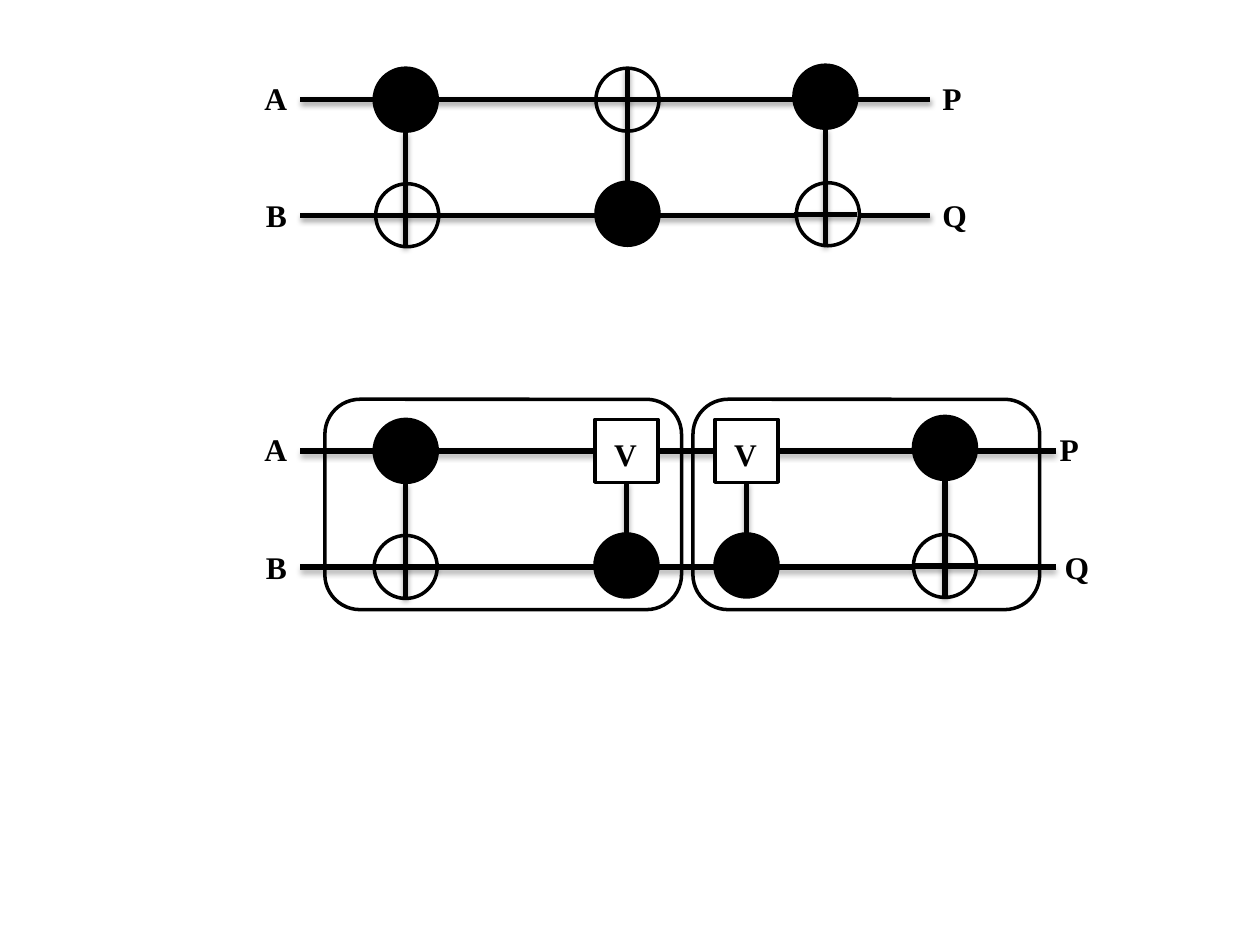
from dataclasses import dataclass

from lxml.etree import SubElement
from pptx import Presentation
from pptx.dml.color import RGBColor
from pptx.enum.shapes import MSO_CONNECTOR as CXN, MSO_SHAPE as SHAPE
from pptx.enum.text import MSO_AUTO_SIZE
from pptx.oxml.ns import qn
from pptx.util import Cm, Pt


@dataclass(frozen=True)
class Theme:
    ink: RGBColor = RGBColor(0, 0, 0)
    paper: RGBColor = RGBColor(255, 255, 255)
    font: str = "Times New Roman"
    text: Pt = Pt(18)
    wire: Pt = Pt(3)
    outline: Pt = Pt(2)


THEME = Theme()
NODE = 1.27  # side of a gate, diameter of a dot or ring (cm)
HALF = NODE / 2
LEFT = 6.05  # where the rails begin (cm)


def add_shadow(cxn):
    """Soft shadow straight below a wire."""
    effects = SubElement(cxn._element.spPr, qn("a:effectLst"))
    shadow = SubElement(effects, qn("a:outerShdw"), blurRad=str(Pt(3.1)),
                        dist=str(Pt(1.8)), dir="5400000", rotWithShape="0")
    clr = SubElement(shadow, qn("a:srgbClr"), val=str(THEME.ink))
    SubElement(clr, qn("a:alpha"), val="35000")


def add_wire(grp, x1, y1, x2, y2):
    cxn = grp.shapes.add_connector(CXN.STRAIGHT, Cm(x1), Cm(y1), Cm(x2), Cm(y2))
    cxn.line.color.rgb = THEME.ink
    cxn.line.width = THEME.wire
    add_shadow(cxn)
    return cxn


def add_outlined(grp, kind, x, y, w, h, fill=THEME.paper):
    sp = grp.shapes.add_shape(kind, Cm(x), Cm(y), Cm(w), Cm(h))
    sp.shadow.inherit = False
    sp.fill.solid()
    sp.fill.fore_color.rgb = fill
    sp.line.color.rgb = THEME.ink
    sp.line.width = THEME.outline
    return sp


def add_node(grp, kind, x, y, fill=THEME.paper):
    """Gate, dot or ring centred on x, y."""
    return add_outlined(grp, kind, x - HALF, y - HALF, NODE, NODE, fill)


def add_label(grp, text, x, y, w=0.97):
    tf = grp.shapes.add_textbox(Cm(x), Cm(y), Cm(w), Cm(1.02)).text_frame
    tf.word_wrap = False
    tf.auto_size = MSO_AUTO_SIZE.SHAPE_TO_FIT_TEXT
    tf.text = text
    font = tf.paragraphs[0].runs[0].font
    font.name, font.size, font.bold = THEME.font, THEME.text, True
    font.color.rgb = THEME.ink


def add_rails(grp, right, y_a, y_b):
    for y in (y_a, y_b):
        add_wire(grp, LEFT, y, right, y)


def add_rail_labels(grp, y_a, y_b, x_p, x_q):
    top_a, top_b = y_a - 0.55, y_b - 0.51
    add_label(grp, "A", 5.08, top_a)
    add_label(grp, "B", 5.11, top_b)
    add_label(grp, "P", x_p, top_a)
    add_label(grp, "Q", x_q, top_b)


def add_cnot(grp, x, y_dot, y_ring, ring_dx=0):
    """Control dot joined to a ring with a cross."""
    add_node(grp, SHAPE.OVAL, x + ring_dx, y_ring)
    add_node(grp, SHAPE.OVAL, x, y_dot, THEME.ink)
    add_wire(grp, x - HALF, y_ring, x + HALF, y_ring)
    add_wire(grp, x, y_ring - HALF, x, y_ring + HALF)
    side = HALF if y_ring > y_dot else -HALF
    add_wire(grp, x, y_dot + side, x, y_ring - side)


def add_v_gate(grp, x, y_gate, y_dot):
    """Control dot joined to the V box above it."""
    add_node(grp, SHAPE.OVAL, x, y_dot, THEME.ink)
    gate = add_node(grp, SHAPE.RECTANGLE, x, y_gate)
    link = add_wire(grp, x, y_dot - HALF, x, y_gate + HALF)
    link.end_connect(gate, 2)
    add_label(grp, "V", x - 0.5, y_gate - 0.45)


def add_swap_circuit(s):
    grp = s.shapes.add_group_shape()
    y_a, y_b, right = 2.01, 4.34, 18.75
    add_rails(grp, right, y_a, y_b)
    add_cnot(grp, 8.18, y_a, y_b, 0.03)
    add_cnot(grp, 12.65, y_b - 0.03, y_a)
    add_cnot(grp, 16.64, y_a - 0.06, y_b - 0.02, 0.05)
    add_rail_labels(grp, y_a, y_b, right, right)


def add_v_circuit(s):
    grp = s.shapes.add_group_shape()
    y_a, y_b = 9.09, 11.43
    # Frames round the two halves
    for x, w in ((13.97, 6.99), (6.55, 7.19)):
        add_outlined(grp, SHAPE.ROUNDED_RECTANGLE, x, 8.05, w, 4.24)
    add_rails(grp, 21.28, y_a, y_b)
    add_cnot(grp, 8.18, y_a, y_b)
    for x in (12.63, 15.05):
        add_v_gate(grp, x, y_a, y_b - 0.03)
    add_cnot(grp, 19.05, y_a - 0.06, y_b - 0.02)
    add_rail_labels(grp, y_a, y_b, 21.11, 21.21)


def main():
    prs = Presentation()
    prs.slide_width, prs.slide_height = Cm(25.4), Cm(19.05)
    s = prs.slides.add_slide(prs.slide_layouts[6])
    add_swap_circuit(s)
    add_v_circuit(s)
    prs.save("out.pptx")


if __name__ == "__main__":
    main()
